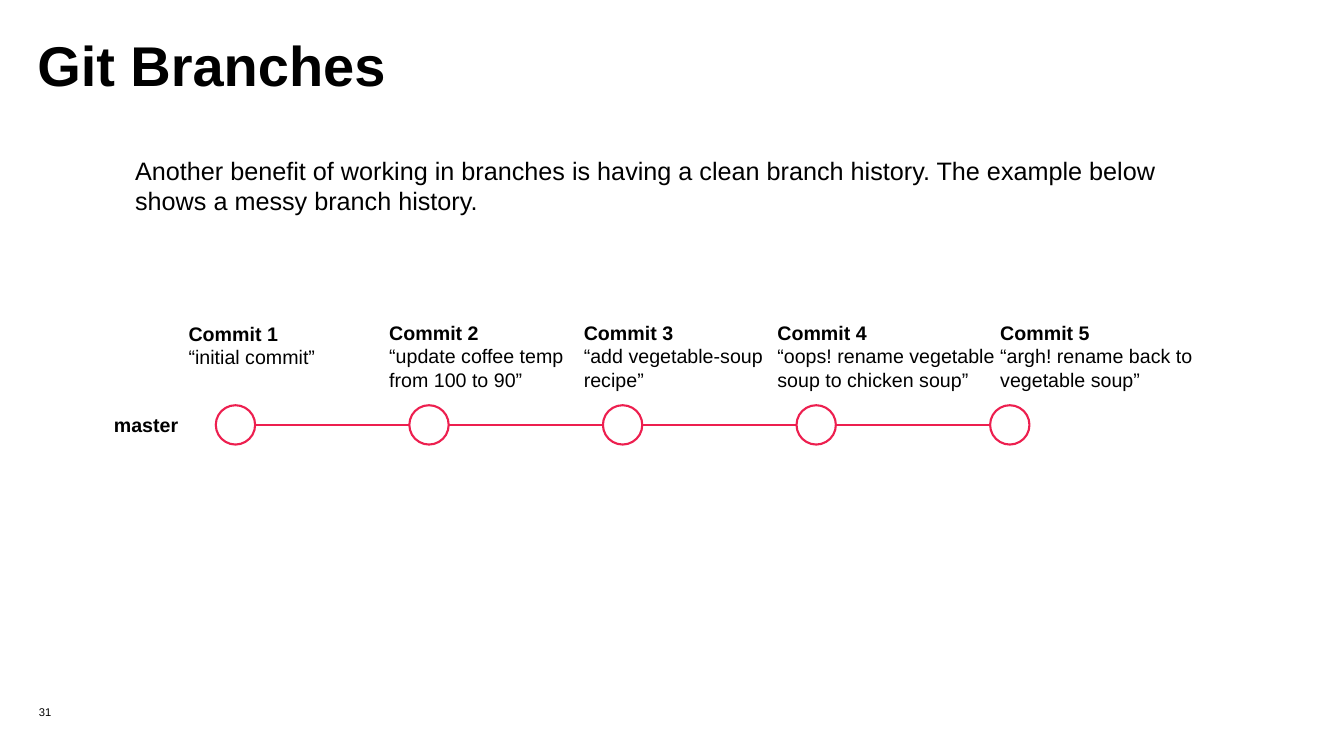
"""Builds a slide that shows a messy Git branch history."""
from lxml import etree
from pptx import Presentation
from pptx.dml.color import RGBColor
from pptx.enum.shapes import MSO_CONNECTOR, MSO_SHAPE
from pptx.enum.text import MSO_ANCHOR, PP_ALIGN
from pptx.oxml.ns import qn
from pptx.util import Inches, Pt

ELLIPSE = MSO_SHAPE.OVAL
STRAIGHT = MSO_CONNECTOR.STRAIGHT
TOP, MIDDLE = MSO_ANCHOR.TOP, MSO_ANCHOR.MIDDLE
LEFT, RIGHT = PP_ALIGN.LEFT, PP_ALIGN.RIGHT


def color(value):
    return RGBColor.from_string(value)


class BranchSlide:
    font = "Arial"
    ink = "000000"
    accent = "ED1F4F"
    line_width = 1.5

    def __init__(self, slide):
        self.slide = slide

    def text(self, box, lines, size, bold_first=False, align=LEFT,
             anchor=TOP, wrap=True, spacing=None):
        frame = self.slide.shapes.add_textbox(*map(Inches, box)).text_frame
        frame.margin_left = frame.margin_right = 0
        frame.margin_top = frame.margin_bottom = 0
        frame.word_wrap = wrap
        frame.vertical_anchor = anchor
        frame.text = "\n".join(lines)
        for index, paragraph in enumerate(frame.paragraphs):
            paragraph.alignment = align
            paragraph.line_spacing = spacing
            for run in paragraph.runs:
                run.font.name = self.font
                run.font.size = Pt(size)
                run.font.bold = bold_first and index == 0
                run.font.color.rgb = color(self.ink)

    def outline(self, line):
        line.color.rgb = color(self.accent)
        line.width = Pt(self.line_width)

    def node(self, left, top, diameter):
        circle = self.slide.shapes.add_shape(
            ELLIPSE, Inches(left), Inches(top), Inches(diameter), Inches(diameter))
        circle.shadow.inherit = False
        circle.fill.background()
        self.outline(circle.line)

    def link(self, start, end, y):
        link = self.slide.shapes.add_connector(
            STRAIGHT, Inches(start), Inches(y), Inches(end), Inches(y))
        self.outline(link.line)
        etree.SubElement(link._element.spPr, qn("a:effectLst"))


def main():
    presentation = Presentation()
    presentation.slide_width = Inches(13.33)
    presentation.slide_height = Inches(7.5)
    page = BranchSlide(presentation.slides.add_slide(presentation.slide_layouts[6]))

    page.text((0.37, 0.38, 12.58, 0.61), ["Git Branches"], 40, True, spacing=0.9)
    page.text((0.38, 7, 0.13, 0.13), ["31"], 8, align=RIGHT, anchor=MIDDLE, wrap=False)
    page.text((1.34, 1.54, 10.82, 0.61),
              ["Another benefit of working in branches is having a clean branch history. "
               "The example below shows a messy branch history."], 18)
    page.text((1.13, 4.1, 0.97, 0.24), ["master"], 14, True)

    commits = [
        (1.87, 3.19, 1.99, "“initial commit”"),
        (3.86, 3.18, 1.99, "“update coffee temp from 100 to 90”"),
        (5.79, 3.18, 1.99, "“add vegetable-soup recipe”"),
        (7.71, 3.18, 2.31, "“oops! rename vegetable soup to chicken soup”"),
        (9.92, 3.18, 2.31, "“argh! rename back to vegetable soup”"),
    ]
    first_node, node_top, diameter, step = 2.14, 4.02, 0.39, 1.92
    for index, (left, top, width, message) in enumerate(commits):
        node_left = first_node + index * step
        page.text((left, top, width, 0.71), [f"Commit {index + 1}", message], 14, True)
        page.node(node_left, node_top, diameter)
        if index:
            page.link(node_left - step + diameter, node_left, node_top + diameter / 2)

    presentation.save("out.pptx")


if __name__ == "__main__":
    main()
